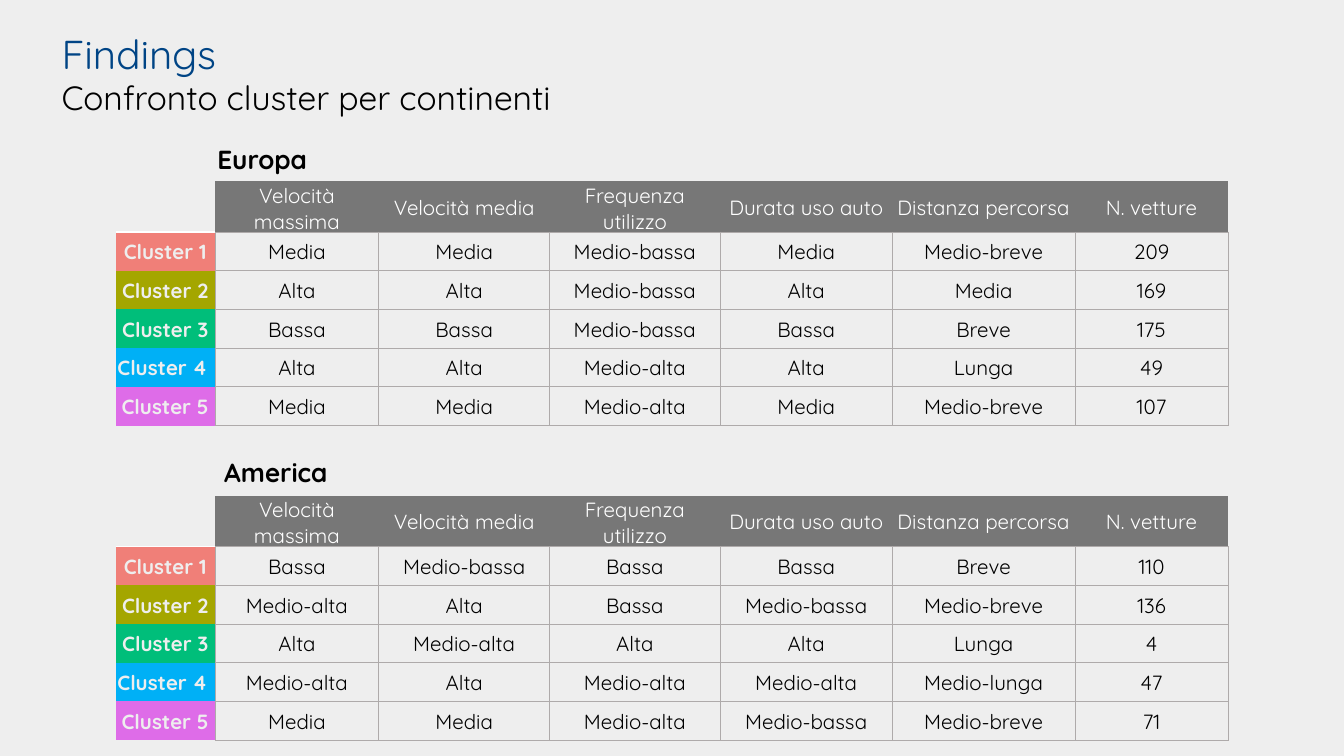
from pptx import Presentation
from pptx.dml.color import RGBColor
from pptx.enum.text import MSO_ANCHOR, PP_ALIGN
from pptx.oxml.ns import qn
from pptx.util import Inches, Pt
from lxml.etree import SubElement

FONT = "Quicksand"
COLORS = {
    "background": "EEEEEE", "title": "004485", "text": "000000",
    "header": "777777", "white": "FFFFFF", "grid": "AEAAAA",
}
CLUSTERS = {
    "Cluster 1": "F07F78", "Cluster 2": "A4A600", "Cluster 3": "00BE7A",
    "Cluster 4 ": "00B0F6", "Cluster 5": "DE6CE8",
}
HEADERS = ["Velocità massima", "Velocità media", "Frequenza utilizzo",
           "Durata uso auto", "Distanza percorsa", "N. vetture"]
COL_WIDTHS = [0.74, 1.22, 1.27, 1.27, 1.28, 1.36, 1.14]
TABLE_LEFT, TABLE_HEIGHT, HEADER_HEIGHT = 0.86, 1.75, 0.31

EUROPE = [
    ["Media", "Media", "Medio-bassa", "Media", "Medio-breve", "209"],
    ["Alta", "Alta", "Medio-bassa", "Alta", "Media", "169"],
    ["Bassa", "Bassa", "Medio-bassa", "Bassa", "Breve", "175"],
    ["Alta", "Alta", "Medio-alta", "Alta", "Lunga", "49"],
    ["Media", "Media", "Medio-alta", "Media", "Medio-breve", "107"],
]
AMERICA = [
    ["Bassa", "Medio-bassa", "Bassa", "Bassa", "Breve", "110"],
    ["Medio-alta", "Alta", "Bassa", "Medio-bassa", "Medio-breve", "136"],
    ["Alta", "Medio-alta", "Alta", "Alta", "Lunga", "4"],
    ["Medio-alta", "Alta", "Medio-alta", "Medio-alta", "Medio-lunga", "47"],
    ["Media", "Media", "Medio-alta", "Medio-bassa", "Medio-breve", "71"],
]

GRID = (COLORS["grid"], 0.5)
RULE = (COLORS["white"], 1)


def format_run(r, size, color, bold=False):
    r.font.name = FONT
    r.font.size = Pt(size)
    r.font.bold = bold
    r.font.color.rgb = RGBColor.from_string(color)


def add_text(slide, left, top, width, height, text, styles, anchor=MSO_ANCHOR.TOP):
    """Add a text box; styles holds (size, color, bold) for each run."""
    sp = slide.shapes.add_textbox(Inches(left), Inches(top), Inches(width), Inches(height))
    tf = sp.text_frame
    tf.word_wrap = True
    tf.vertical_anchor = anchor
    p = tf.paragraphs[0]
    p.text = text
    for r, style in zip(p.runs, styles):
        format_run(r, *style)


def set_borders(cell, borders):
    """Draw the named sides (L, R, T, B) and clear the others."""
    tc_pr = cell._tc.get_or_add_tcPr()
    for i, side in enumerate("LRTB"):
        ln = tc_pr.makeelement(qn(f"a:ln{side}"), {})
        tc_pr.insert(i, ln)
        if side in borders:
            color, width = borders[side]
            ln.set("w", str(Pt(width)))
            fill = SubElement(ln, qn("a:solidFill"))
            SubElement(fill, qn("a:srgbClr"), val=color)
        else:
            SubElement(ln, qn("a:noFill"))


def fill_cell(cell, text, fill, color, borders, bold=False):
    cell.margin_left = cell.margin_right = cell.margin_top = Inches(0.01)
    cell.margin_bottom = 0
    cell.vertical_anchor = MSO_ANCHOR.MIDDLE
    cell.fill.solid()
    cell.fill.fore_color.rgb = RGBColor.from_string(fill)
    set_borders(cell, borders)
    if text:
        p = cell.text_frame.paragraphs[0]
        p.text = text
        p.alignment = PP_ALIGN.CENTER
        format_run(p.runs[0], 11, color, bold)


def add_cluster_table(slide, top, values):
    rows, cols = len(values) + 1, len(COL_WIDTHS)
    table = slide.shapes.add_table(rows, cols, Inches(TABLE_LEFT), Inches(top),
                                   Inches(sum(COL_WIDTHS)), Inches(TABLE_HEIGHT)).table
    table.first_row = table.horz_banding = False
    for column, width in zip(table.columns, COL_WIDTHS):
        column.width = Inches(width)
    for row in table.rows:
        row.height = Inches((TABLE_HEIGHT - HEADER_HEIGHT) / len(values))
    table.rows[0].height = Inches(HEADER_HEIGHT)

    # Header row, with an empty corner
    back = COLORS["background"]
    fill_cell(table.cell(0, 0), "", back, back, {"B": RULE})
    for j, text in enumerate(HEADERS, 1):
        fill_cell(table.cell(0, j), text, COLORS["header"], COLORS["white"], {"B": GRID})

    # One row for each cluster
    for i, ((name, color), row) in enumerate(zip(CLUSTERS.items(), values), 1):
        borders = {"R": GRID, "T": RULE} if i == 1 else {"R": GRID}
        fill_cell(table.cell(i, 0), name, color, back, borders, bold=True)
        for j, text in enumerate(row, 1):
            fill_cell(table.cell(i, j), text, back, COLORS["text"], dict.fromkeys("LRTB", GRID))


def main():
    prs = Presentation()
    prs.slide_width, prs.slide_height = Inches(10), Inches(10 * 9 / 16)
    slide = prs.slides.add_slide(prs.slide_layouts[6])
    slide.background.fill.solid()
    slide.background.fill.fore_color.rgb = RGBColor.from_string(COLORS["background"])

    # Title and subtitle
    add_text(slide, 0.36, 0.33, 5.64, 0.43, "Findings \vConfronto cluster per continenti",
             [(21.6, COLORS["title"]), (18, COLORS["text"])], MSO_ANCHOR.MIDDLE)

    # Tables by continent
    add_cluster_table(slide, 3.69, AMERICA)
    add_cluster_table(slide, 1.35, EUROPE)
    for name, left, top in [("Europa", 1.52, 1.02), ("America", 1.57, 3.35)]:
        add_text(slide, left, top, 3.76, 0.34, name, [(14, COLORS["text"], True)])

    prs.save("out.pptx")


if __name__ == "__main__":
    main()
